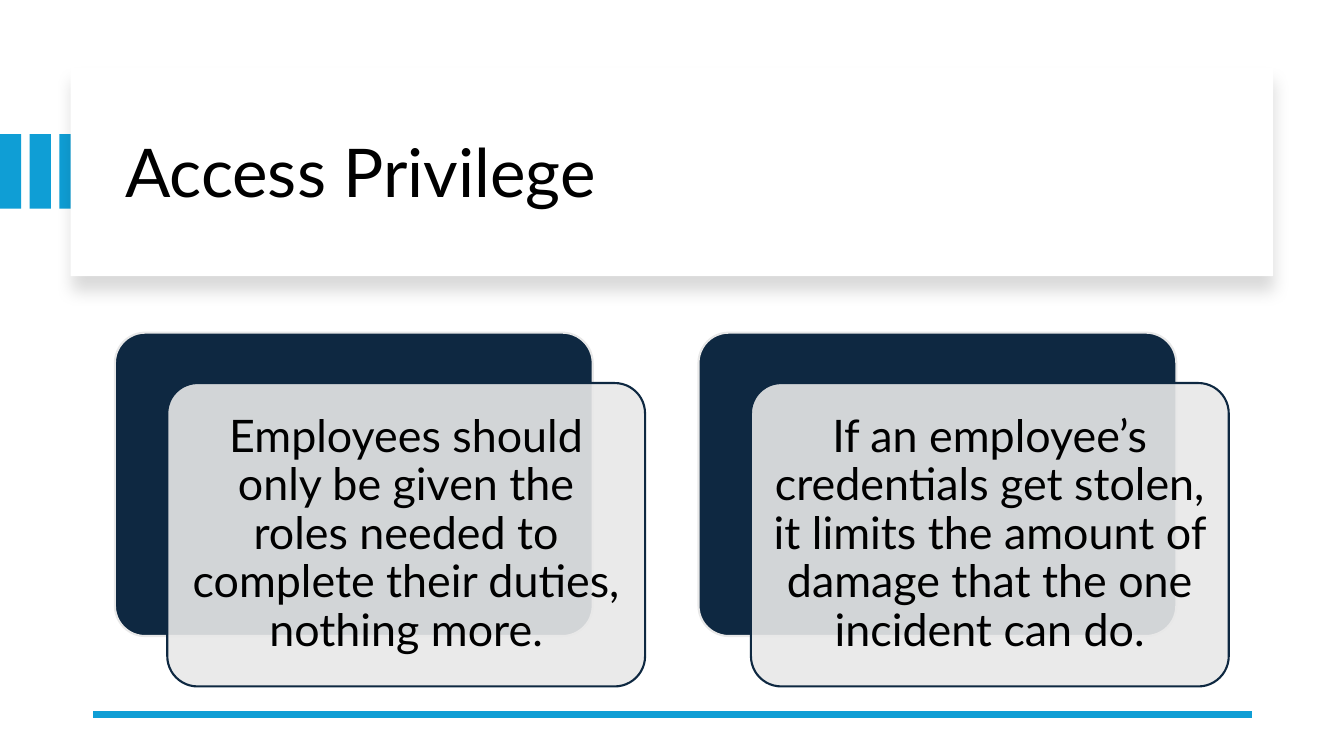
import pptx
import pptx.util
import pptx.dml.color
import pptx.enum.shapes
import pptx.enum.text
import pptx.oxml
import pptx.oxml.ns
from pptx.util import Inches

BLUE, NAVY, GREY, WHITE, BLACK = "0F9ED5", "0E2841", "E8E8E8", "FFFFFF", "000000"
FONT = "Lato"
SHAPES = pptx.enum.shapes.MSO_SHAPE
ALIGN = pptx.enum.text.PP_ALIGN
NAMESPACE = pptx.oxml.ns.nsdecls("a")

CARD_TEXTS = [
    "Employees should only be given the roles needed to complete their duties, nothing more.",
    "If an employee’s credentials get stolen, it limits the amount of damage that the one incident can do.",
]


def color(hex_string):
    return pptx.dml.color.RGBColor.from_string(hex_string)


def write_text(shape, text, size, align=ALIGN.LEFT, inset=0.1):
    frame = shape.text_frame
    frame.word_wrap = True
    frame.auto_size = pptx.enum.text.MSO_AUTO_SIZE.NONE
    frame.vertical_anchor = pptx.enum.text.MSO_ANCHOR.MIDDLE
    frame.margin_left = frame.margin_right = Inches(inset)
    frame.margin_top = frame.margin_bottom = Inches(inset)
    paragraph = frame.paragraphs[0]
    paragraph.alignment = align
    paragraph.line_spacing = 0.9
    run = paragraph.add_run()
    run.text = text
    run.font.name = FONT
    run.font.size = pptx.util.Pt(size)
    run.font.color.rgb = color(BLACK)


def add_box(slide, left, top, width, height, fill, kind=SHAPES.RECTANGLE, line=None):
    shape = slide.shapes.add_shape(
        kind, Inches(left), Inches(top), Inches(width), Inches(height))
    shape.shadow.inherit = False
    shape.fill.solid()
    shape.fill.fore_color.rgb = color(fill)
    if line:
        shape.line.color.rgb = color(line)
        shape.line.width = pptx.util.Pt(1.5)
    else:
        shape.line.fill.background()
    return shape


def add_shadow(shape):
    effects = shape._element.spPr.find(pptx.oxml.ns.qn("a:effectLst"))
    effects.append(pptx.oxml.parse_xml(
        f'<a:outerShdw {NAMESPACE} blurRad="{pptx.util.Pt(11)}" dist="{pptx.util.Pt(10)}" '
        f'dir="5400000" algn="t" rotWithShape="0"><a:srgbClr val="{BLACK}">'
        '<a:alpha val="15000"/></a:srgbClr></a:outerShdw>'))


def set_opacity(shape, percent):
    fill_color = shape._element.spPr.find(".//" + pptx.oxml.ns.qn("a:srgbClr"))
    fill_color.append(pptx.oxml.parse_xml(f'<a:alpha {NAMESPACE} val="{percent * 1000}"/>'))


def add_rule(slide, start, end, y):
    rule = slide.shapes.add_connector(
        pptx.enum.shapes.MSO_CONNECTOR.STRAIGHT, Inches(start), Inches(y), Inches(end), Inches(y))
    rule.line.color.rgb = color(BLUE)
    rule.line.width = pptx.util.Pt(4.5)
    rule._element.spPr.append(pptx.oxml.parse_xml(f"<a:effectLst {NAMESPACE}/>"))


def add_card(slide, left, top, text):
    width, height = 4.74, 3.01
    back = add_box(slide, left, top, width, height, NAVY, SHAPES.ROUNDED_RECTANGLE, GREY)
    front = add_box(slide, left + 0.52, top + 0.5, width, height, GREY,
                    SHAPES.ROUNDED_RECTANGLE, NAVY)
    for shape in (back, front):
        shape.adjustments[0] = 0.1
    set_opacity(front, 90)
    write_text(front, text, 32, align=ALIGN.CENTER, inset=0.13)


def add_title(slide, text):
    title = slide.shapes.title
    title.left, title.top = Inches(1.14), Inches(0.89)
    title.width, title.height = Inches(11.13), Inches(1.7)
    write_text(title, text, 48)
    # Bring the title in front of its panel
    slide.shapes._spTree.append(title._element)


def main():
    presentation = pptx.Presentation()
    presentation.slide_width, presentation.slide_height = Inches(13.333), Inches(7.5)
    slide = presentation.slides.add_slide(presentation.slide_layouts[5])
    slide.background.fill.solid()
    slide.background.fill.fore_color.rgb = color(WHITE)

    # Stripes running in behind the title panel
    for index in range(3):
        add_box(slide, index * 0.295, 1.33, 0.21, 0.74, BLUE)

    # Title panel and title
    add_shadow(add_box(slide, 0.7, 0.67, 11.93, 2.07, WHITE))
    add_title(slide, "Access Privilege")

    # Bottom rule
    add_rule(slide, 12.42, 0.92, 7.09)

    # Cards
    for index, text in enumerate(CARD_TEXTS):
        add_card(slide, 1.14 + index * 5.79, 3.3, text)

    presentation.save("out.pptx")


if __name__ == "__main__":
    main()
